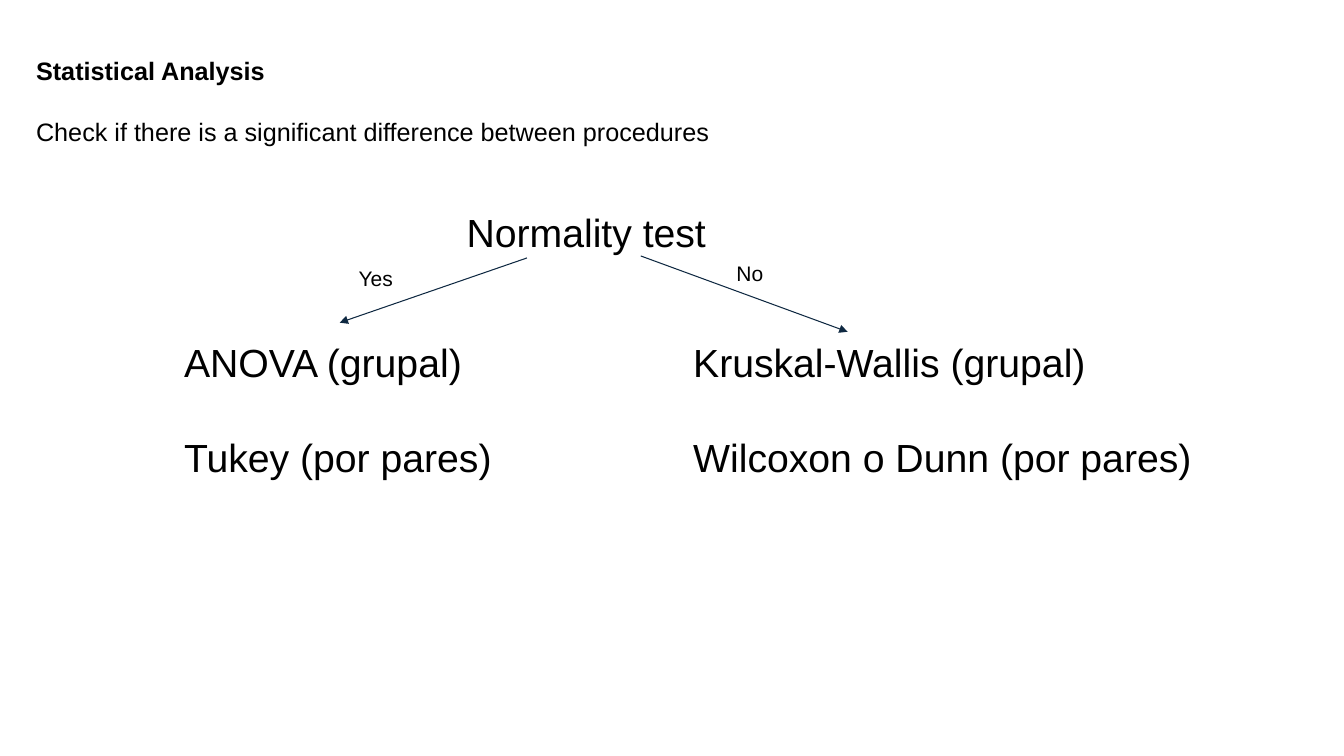
from lxml import etree
from pptx import Presentation
from pptx.dml.color import RGBColor
from pptx.enum.shapes import MSO_CONNECTOR
from pptx.oxml.ns import qn
from pptx.util import Cm, Pt

STRAIGHT = MSO_CONNECTOR.STRAIGHT
BLACK, NAVY = "000000", "0E2841"

HEADING = {"size": 18, "gap": 22, "inset": 0.13, "bold_first": True}
NODE = {"size": 28, "gap": 34.2, "inset": 0.25, "bold_first": False}
LABEL = {"size": 15, "gap": 0, "inset": 0.25, "bold_first": False}

TEXTS = [
    (["Statistical Analysis",
      "Check if there is a significant difference between procedures"],
     (0.66, 1.27, 23.6, 4.11), HEADING),
    (["Normality test"], (11.51, 5, 12.19, 1.7), NODE),
    (["ANOVA (grupal)", "Tukey (por pares)"], (4.39, 8.28, 12.19, 4.11), NODE),
    (["Kruskal-Wallis (grupal)", "Wilcoxon o Dunn (por pares)"],
     (17.22, 8.28, 15.14, 4.11), NODE),
    (["Yes"], (8.79, 6.45, 2.21, 1.14), LABEL),
    (["No"], (18.31, 6.32, 2.21, 1.14), LABEL),
]
BRANCHES = [(13.28, 6.5, 8.56, 8.13), (16.15, 6.45, 21.36, 8.36)]


def color(value):
    return RGBColor.from_string(value)


def add_text(page, lines, place, style):
    box = page.shapes.add_textbox(*map(Cm, place))
    frame = box.text_frame
    margins = {
        "margin_left": Cm(0.25),
        "margin_right": Cm(0.25),
        "margin_top": Cm(style["inset"]),
        "margin_bottom": Cm(style["inset"]),
        "word_wrap": True,
    }
    for name, value in margins.items():
        setattr(frame, name, value)
    for index, line in enumerate(lines):
        para = frame.add_paragraph() if index else frame.paragraphs[0]
        if index:
            para.space_before = Pt(style["gap"])
        span = para.add_run()
        span.text = line
        font_values = {
            "name": "Arial",
            "size": Pt(style["size"]),
            "bold": style["bold_first"] and index == 0,
        }
        for name, value in font_values.items():
            setattr(span.font, name, value)
        span.font.color.rgb = color(BLACK)


def add_branch(page, ends):
    arrow = page.shapes.add_connector(STRAIGHT, *map(Cm, ends))
    arrow.line.color.rgb = color(NAVY)
    arrow.line.width = Pt(0.75)
    outline = arrow.line._get_or_add_ln()
    etree.SubElement(outline, qn("a:tailEnd"), type="triangle")
    etree.SubElement(arrow._element.spPr, qn("a:effectLst"))


def main():
    deck = Presentation()
    deck.slide_width, deck.slide_height = Cm(33.87), Cm(19.05)
    page = deck.slides.add_slide(deck.slide_layouts[6])
    for lines, place, style in TEXTS:
        add_text(page, lines, place, style)
    for ends in BRANCHES:
        add_branch(page, ends)
    deck.save("out.pptx")


if __name__ == "__main__":
    main()
